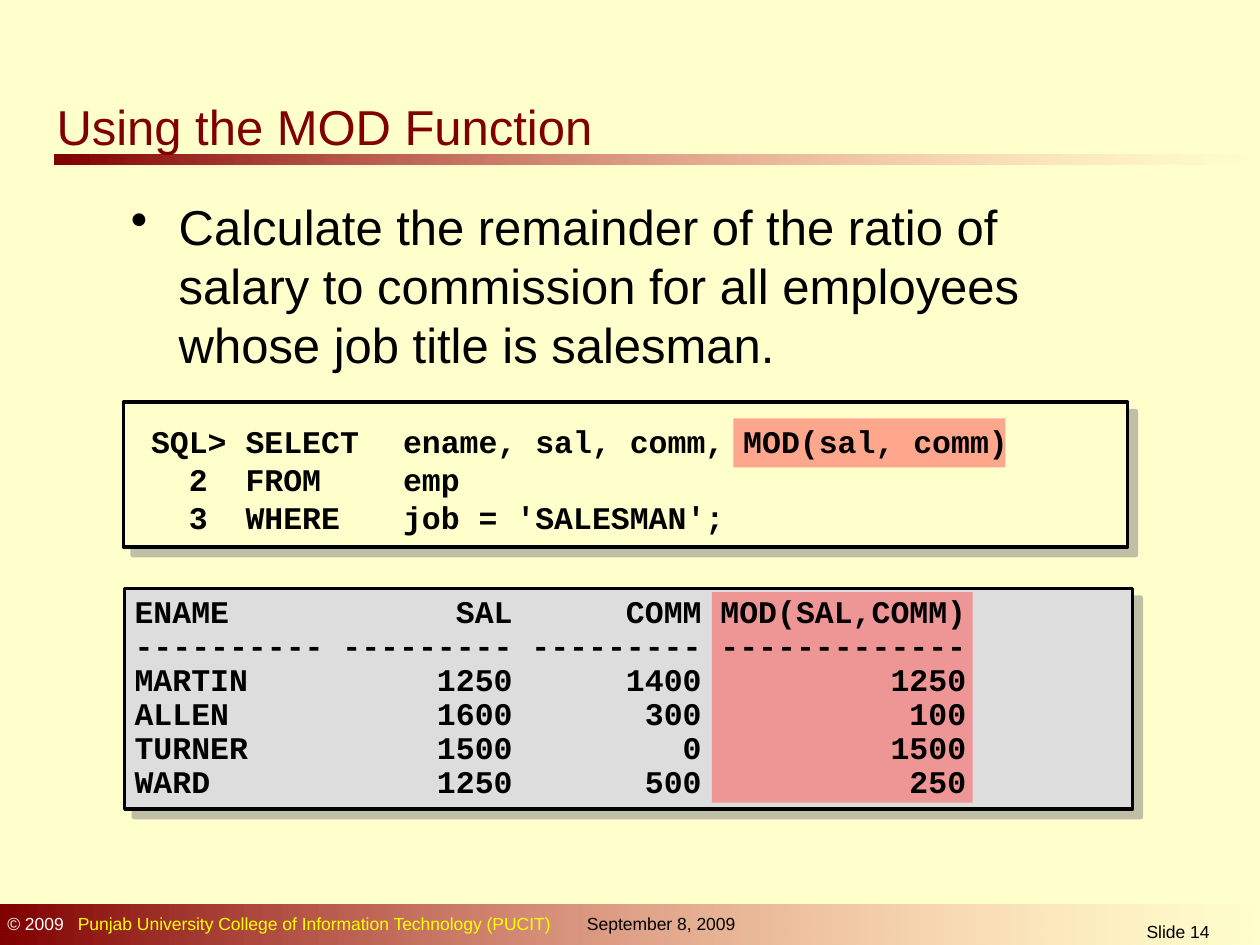
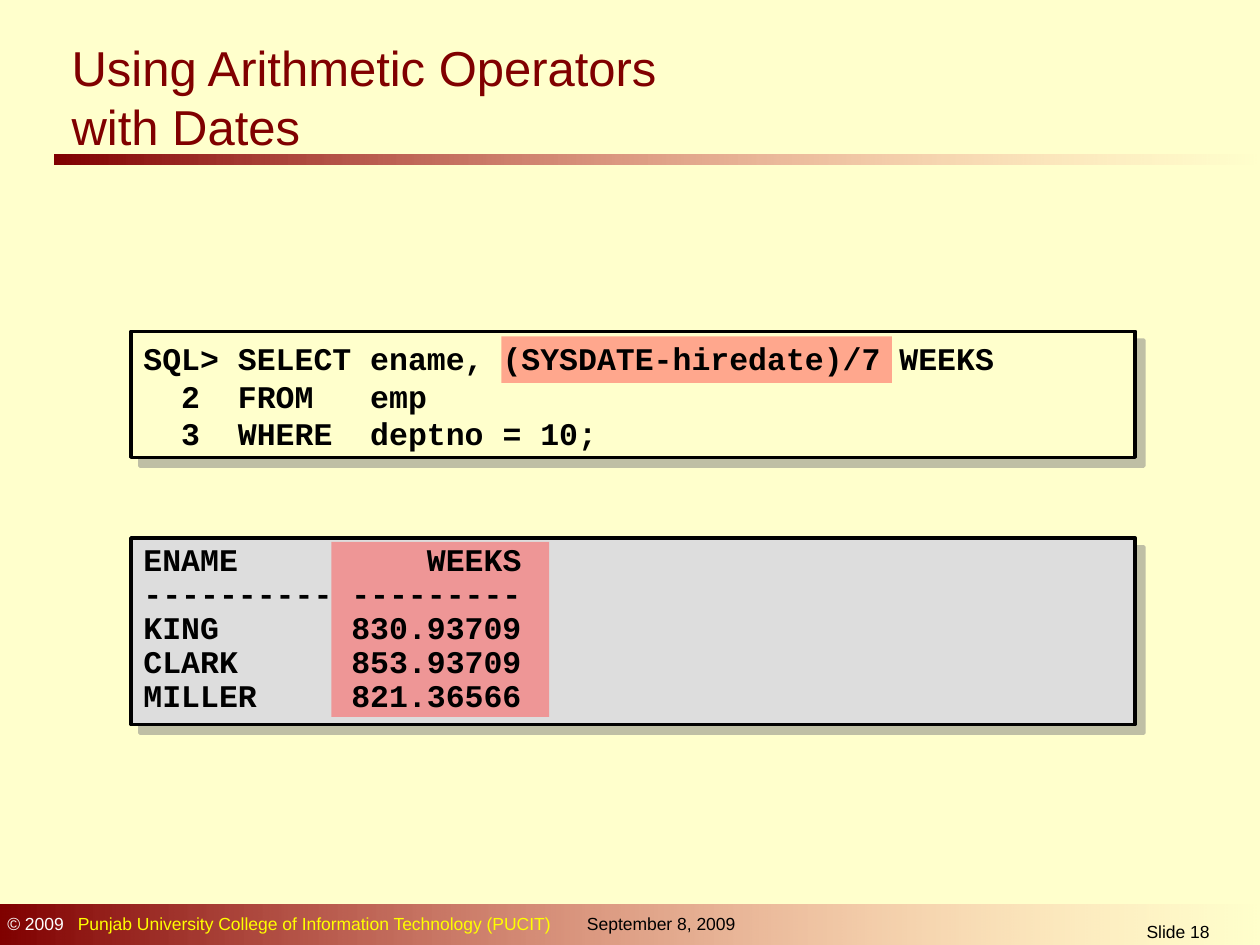
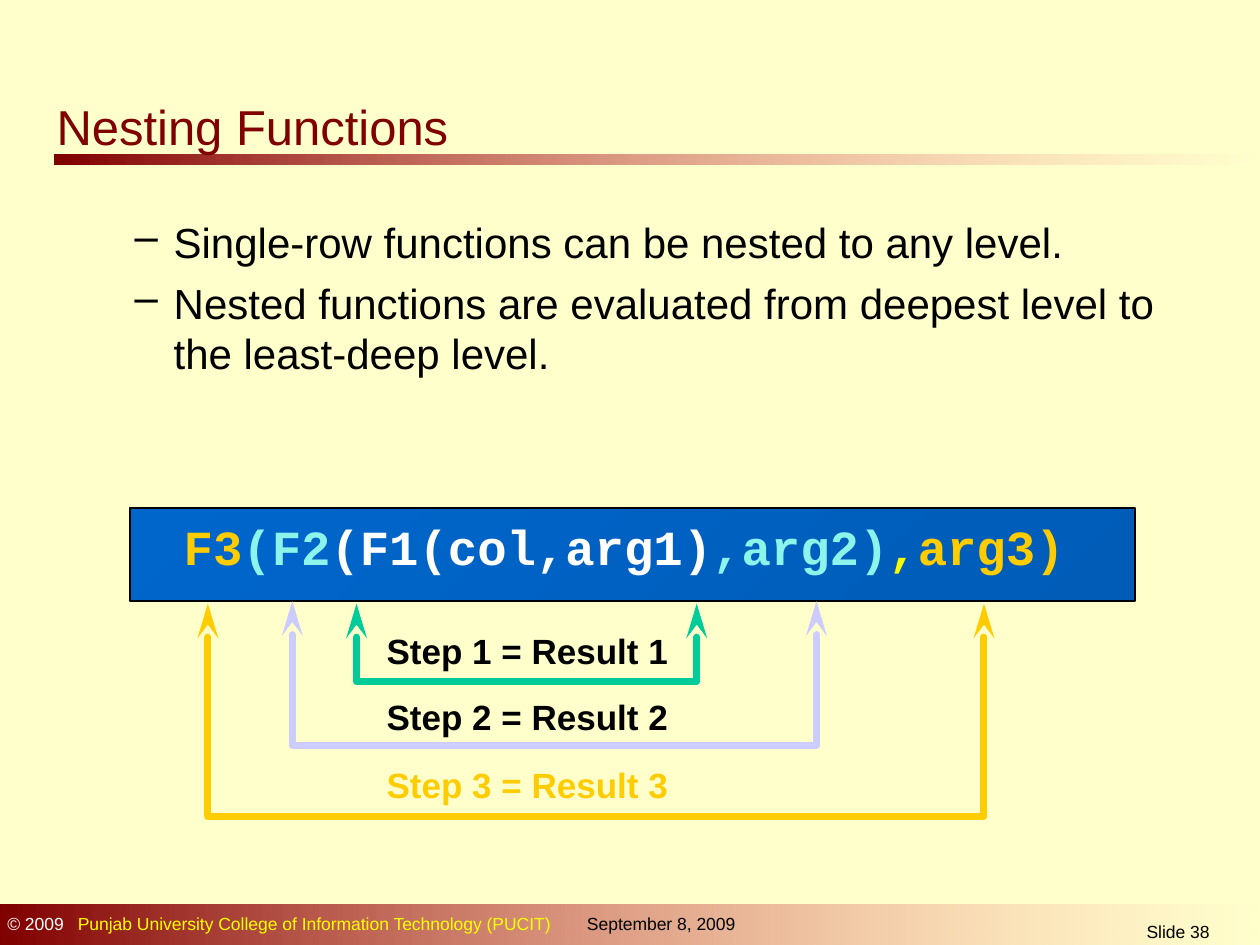
from dataclasses import dataclass
from lxml.etree import SubElement
from pptx import Presentation
from pptx.dml.color import RGBColor
from pptx.enum.shapes import MSO_SHAPE
from pptx.enum.text import PP_ALIGN
from pptx.oxml.ns import qn
from pptx.util import Inches, Pt


@dataclass(frozen=True)
class Theme:
    paper: str = "FFFFCC"
    ink: str = "000000"
    white: str = "FFFFFF"
    maroon: str = "800000"
    rose: str = "FF8585"
    yellow: str = "FFFF00"
    result_grey: str = "DDDDDD"
    shadow: str = "808080"
    highlight: str = "FF5050"
    panel_dark: str = "005CB7"
    panel_blue: str = "0066CC"
    gold: str = "FFCC00"
    aqua: str = "8CF4EA"
    lemon: str = "FAFD00"
    lilac: str = "CCCCFF"
    green: str = "00CC99"
    sans: str = "Arial"
    mono: str = "Courier New"
    title_size: int = 28
    point_size: int = 24
    step_size: int = 20
    code_size: int = 18
    footer_size: int = 10


theme = Theme()


def add_text(page, at, lines, size, color=theme.ink, font=theme.sans, bold=False,
             tabs=(), bullet=None, margin=0, hanging=0, gap=0, spacing=None, align=None):
    """Write one paragraph per line; a line is a string or (text, color) pairs.

    Tabs are (inches, "l" or "r") pairs; margin and hanging are in inches.
    """
    box = page.shapes.add_textbox(*map(Inches, at))
    frame = box.text_frame
    frame.word_wrap = True
    for index, line in enumerate(lines):
        para = frame.paragraphs[0] if index == 0 else frame.add_paragraph()
        properties = para._p.get_or_add_pPr()
        if margin:
            properties.set("marL", str(Inches(margin)))
            properties.set("indent", str(-Inches(hanging)))
        if bullet:
            SubElement(properties, qn("a:buChar"), char=bullet)
        if tabs:
            stops = SubElement(properties, qn("a:tabLst"))
            for position, side in tabs:
                SubElement(stops, qn("a:tab"), pos=str(Inches(position)), algn=side)
        if isinstance(line, str):
            para.text = line
        else:
            for text, span_color in line:
                span = para.add_run()
                span.text = text
                span.font.color.rgb = RGBColor.from_string(span_color)
        para.font.name = font
        para.font.size = Pt(size)
        para.font.bold = bold
        para.font.color.rgb = RGBColor.from_string(color)
        if spacing:
            para.line_spacing = spacing
        if align is not None:
            para.alignment = align
        if gap and index:
            para.space_before = Pt(gap)


def add_box(page, at, fill, angle=None, alpha=None, line=None, shadow=False):
    """Draw a rectangle; fill is a colour or a pair of gradient colours.

    Alpha (percent) applies to the first colour; line is a width in points.
    """
    box = page.shapes.add_shape(MSO_SHAPE.RECTANGLE, *map(Inches, at))
    if isinstance(fill, str):
        box.fill.solid()
        box.fill.fore_color.rgb = RGBColor.from_string(fill)
    else:
        box.fill.gradient()
        box.fill.gradient_angle = angle
        for stop, color, position in zip(box.fill.gradient_stops, fill, (0, 1)):
            stop.color.rgb = RGBColor.from_string(color)
            stop.position = position
    if alpha is not None:
        first_color = next(box._element.spPr.iter(qn("a:srgbClr")))
        SubElement(first_color, qn("a:alpha"), val=str(alpha * 1000))
    if line:
        box.line.color.rgb = RGBColor.from_string(theme.ink)
        box.line.width = Pt(line)
    else:
        box.line.fill.background()
    box.shadow.inherit = False
    if shadow:
        effects = box._element.spPr.find(qn("a:effectLst"))
        outer = SubElement(effects, qn("a:outerShdw"), blurRad="0", dist=str(Pt(7.1)),
                           dir="2700000", algn="ctr", rotWithShape="0")
        shade = SubElement(outer, qn("a:srgbClr"), val=theme.shadow)
        SubElement(shade, qn("a:alpha"), val="50000")


deck = Presentation()
deck.slide_width, deck.slide_height = Inches(10), Inches(7.5)

# Shared background, title, bands and footer
titles = [
    ("Using the MOD Function", (0.35, 0.72, 4.68, 0.51), 14),
    ("Using Arithmetic Operators\vwith Dates", (0.47, 0.25, 9.05, 1.33), 18),
    ("Nesting Functions", (0.35, 0.72, 3.58, 0.59), 38),
]
pages = []
for title, title_at, number in titles:
    page = deck.slides.add_slide(deck.slide_layouts[6])
    page.background.fill.solid()
    page.background.fill.fore_color.rgb = RGBColor.from_string(theme.paper)
    for band_at in ((0.43, 1.23, 9.57, 0.08), (0, 7.18, 10, 0.32)):
        add_box(page, band_at, (theme.rose, theme.maroon), angle=180, alpha=0)
    owner = [("© 2009", theme.white),
             ("\tPunjab University College of Information Technology (PUCIT)", theme.yellow)]
    add_text(page, (-0.04, 7.2, 6.46, 0.27), [owner], theme.footer_size, tabs=[(0.56, "l")])
    add_text(page, (4.29, 7.2, 1.81, 0.27), ["September 8, 2009"], theme.footer_size,
             margin=0.27)
    add_text(page, (8.31, 7.26, 2.08, 0.24), [f"Slide {number}"], theme.footer_size,
             align=PP_ALIGN.CENTER)
    add_text(page, title_at, [title], theme.title_size, theme.maroon)
    pages.append(page)
mod_page, dates_page, nesting_page = pages

# Queries with their results
add_text(mod_page, (0.94, 1.51, 8.08, 1.5),
         ["Calculate the remainder of the ratio of salary to commission for all "
          "employees whose job title is salesman."],
         theme.title_size, bullet="•", margin=0.38, hanging=0.38)

queries = [
    dict(page=mod_page,
         panels=[(0.98, 3.19, 7.97, 1.15), (0.99, 4.67, 8, 1.75)],
         highlights=[(5.82, 3.32, 2.16, 0.39), (5.65, 4.7, 2.07, 1.67)],
         code_at=(1.1, 3.3, 7.82, 1.05), code_tab=2,
         code=["SQL> SELECT\tename, sal, comm, MOD(sal, comm)",
               "  2  FROM\temp",
               "  3  WHERE\tjob = 'SALESMAN';"],
         result_at=(0.97, 4.68, 7.97, 1.72), column_ends=(20, 30, 44),
         rows=[("ENAME", "SAL", "COMM", "MOD(SAL,COMM)"),
               ("-" * 10, "-" * 9, "-" * 9, "-" * 13),
               ("MARTIN", "1250", "1400", "1250"),
               ("ALLEN", "1600", "300", "100"),
               ("TURNER", "1500", "0", "1500"),
               ("WARD", "1250", "500", "250")]),
    dict(page=dates_page,
         panels=[(1.04, 2.63, 7.97, 1), (1.04, 4.27, 7.97, 1.48)],
         highlights=[(3.98, 2.67, 3.1, 0.37), (2.63, 4.3, 1.73, 1.39)],
         code_at=(1.04, 2.64, 8, 1), code_tab=1.8,
         code=["SQL> SELECT\tename, (SYSDATE-hiredate)/7 WEEKS",
               "  2  FROM\temp",
               "  3  WHERE\tdeptno = 10;"],
         result_at=(1.04, 4.27, 7.97, 1.45), column_ends=(20,),
         rows=[("ENAME", "WEEKS"),
               ("-" * 10, "-" * 9),
               ("KING", "830.93709"),
               ("CLARK", "853.93709"),
               ("MILLER", "821.36566")]),
]
character_width = 0.15
for query in queries:
    page = query["page"]
    for panel_at, fill in zip(query["panels"], (theme.paper, theme.result_grey)):
        add_box(page, panel_at, fill, line=2, shadow=True)
    for highlight_at in query["highlights"]:
        add_box(page, highlight_at, theme.highlight, alpha=50)
    add_text(page, query["code_at"], query["code"], theme.code_size, font=theme.mono,
             bold=True, tabs=[(query["code_tab"], "l")])
    add_text(page, query["result_at"], ["\t".join(row) for row in query["rows"]],
             theme.code_size, font=theme.mono, bold=True, spacing=0.9,
             tabs=[(end * character_width, "r") for end in query["column_ends"]])

# Nested call with its evaluation steps
add_text(nesting_page, (0.47, 1.67, 9.05, 1.38),
         ["Single-row functions can be nested to any level.",
          "Nested functions are evaluated from deepest level to the least-deep level."],
         theme.point_size, bullet="–", margin=0.81, hanging=0.31, gap=6)
add_box(nesting_page, (1.03, 4.03, 7.98, 0.74), (theme.panel_dark, theme.panel_blue),
        angle=135, line=1)
nested_call = [("F3", theme.gold), ("(F2", theme.aqua), ("(F1(col,arg1)", theme.white),
               (",arg2)", theme.aqua), (",", theme.lemon), ("arg3)", theme.gold)]
add_text(nesting_page, (1.36, 4.21, 7.25, 0.41), [nested_call], theme.title_size,
         font=theme.mono, bold=True, spacing=Pt(22))

steps = [
    ("Step 1 = Result 1", 4.95, theme.ink, theme.green, (2.83, 5.53, 4.79, 5.41)),
    ("Step 2 = Result 2", 5.47, theme.ink, theme.lilac, (2.32, 6.48, 4.77, 5.92)),
    ("Step 3 = Result 3", 6.01, theme.gold, theme.gold, (1.65, 7.81, 4.79, 6.48)),
]
for label, label_top, label_color, bracket_color, (left, right, top, bottom) in steps:
    outline = nesting_page.shapes.build_freeform(Inches(left), Inches(top))
    corners = [(left, bottom), (right, bottom), (right, top)]
    outline.add_line_segments([(Inches(x), Inches(y)) for x, y in corners], close=False)
    bracket = outline.convert_to_shape()
    bracket.fill.background()
    bracket.line.color.rgb = RGBColor.from_string(bracket_color)
    bracket.line.width = Pt(4)
    bracket.shadow.inherit = False
    stroke = bracket.line._get_or_add_ln()
    stroke.set("cap", "rnd")
    SubElement(stroke, qn("a:round"))
    for end in ("a:headEnd", "a:tailEnd"):
        SubElement(stroke, qn(end), type="stealth", w="med", len="lg")
    add_text(nesting_page, (2.97, label_top, 2.5, 0.43), [label], theme.step_size,
             label_color, bold=True)

deck.save("out.pptx")
